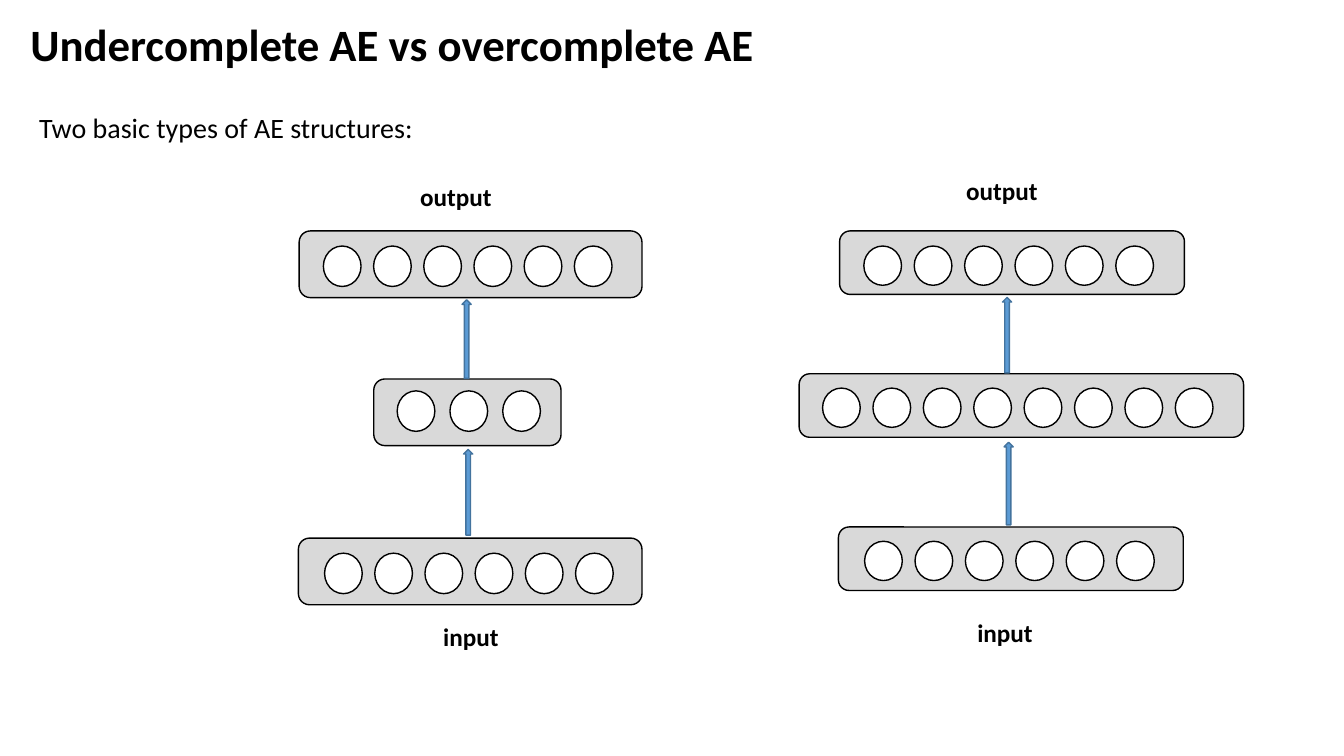
from pptx import Presentation
from pptx.dml.color import RGBColor
from pptx.enum.shapes import MSO_SHAPE as SHAPE
from pptx.enum.text import MSO_ANCHOR, PP_ALIGN
from pptx.util import Cm, Pt


def set_font(p, size, bold):
    f = p.runs[0].font
    f.name, f.size, f.bold = "Calibri", Pt(size), bold
    f.color.rgb = RGBColor.from_string("000000")


def add_part(group, kind, x, y, w, h, fill, line="000000"):
    s = group.shapes.add_shape(kind, Cm(x), Cm(y), Cm(w), Cm(h))
    s.shadow.inherit = False
    s.fill.solid()
    s.fill.fore_color.rgb = RGBColor.from_string(fill)
    s.line.color.rgb = RGBColor.from_string(line)
    s.line.width = Pt(1)
    return s


prs = Presentation()
prs.slide_width, prs.slide_height = Cm(33.87), Cm(19.05)
slide = prs.slides.add_slide(prs.slide_layouts[5])

title = slide.shapes.title
title.left, title.top, title.width, title.height = Cm(0.51), Cm(0), Cm(29.21), Cm(2.36)
tf = title.text_frame
tf.text = "Undercomplete AE vs overcomplete AE"
tf.vertical_anchor = MSO_ANCHOR.MIDDLE
p = tf.paragraphs[0]
p.alignment = PP_ALIGN.LEFT
p.line_spacing = 0.9
set_font(p, 32, True)

# layer: x, y, width, unit count, first unit x, first unit y, unit pitch
undercomplete = {
    "layer_height": 1.68,
    "unit_height": 1.02,
    "layers": [
        (7.54, 5.82, 8.64, 6, 8.15, 6.2, 1.265),
        (7.52, 13.56, 8.66, 6, 8.18, 13.94, 1.265),
        (9.42, 9.55, 4.72, 3, 10.01, 9.85, 1.33),
    ],
    "arrows": [(10.72, 12.29, 2.16), (10.77, 8.43, 1.98)],
}
overcomplete = {
    "layer_height": 1.6,
    "unit_height": 0.99,
    "layers": [
        (21.16, 5.82, 8.69, 6, 21.77, 6.2, 1.27),
        (21.13, 13.28, 8.69, 6, 21.79, 13.64, 1.27),
        (20.14, 9.42, 11.2, 8, 20.73, 9.78, 1.27),
    ],
    "arrows": [(24.38, 12.07, 2.08), (24.43, 8.33, 1.9)],
}

for network in (undercomplete, overcomplete):
    group = slide.shapes.add_group_shape()
    for x, y, w, count, unit_x, unit_y, pitch in network["layers"]:
        add_part(group, SHAPE.ROUNDED_RECTANGLE, x, y, w, network["layer_height"], "D9D9D9")
        for i in range(count):
            add_part(group, SHAPE.OVAL, unit_x + i * pitch, unit_y,
                     0.95, network["unit_height"], "FFFFFF")
    for x, y, length in network["arrows"]:
        arrow = add_part(group, SHAPE.RIGHT_ARROW, x, y, length, 0.23, "5B9BD5", "43739E")
        arrow.rotation = 270

for text, x, y, w, h, size, bold in [
    ("Two basic types of AE structures:", 0.74, 2.67, 21.23, 1.12, 20, False),
    ("input", 10.92, 15.52, 5.16, 1.02, 18, True),
    ("input", 24.38, 15.42, 5.16, 1.02, 18, True),
    ("output", 10.34, 4.45, 5.16, 1.02, 18, True),
    ("output", 24.1, 4.29, 5.16, 1.02, 18, True),
]:
    tf = slide.shapes.add_textbox(Cm(x), Cm(y), Cm(w), Cm(h)).text_frame
    tf.word_wrap = True
    tf.text = text
    set_font(tf.paragraphs[0], size, bold)

prs.save("out.pptx")
